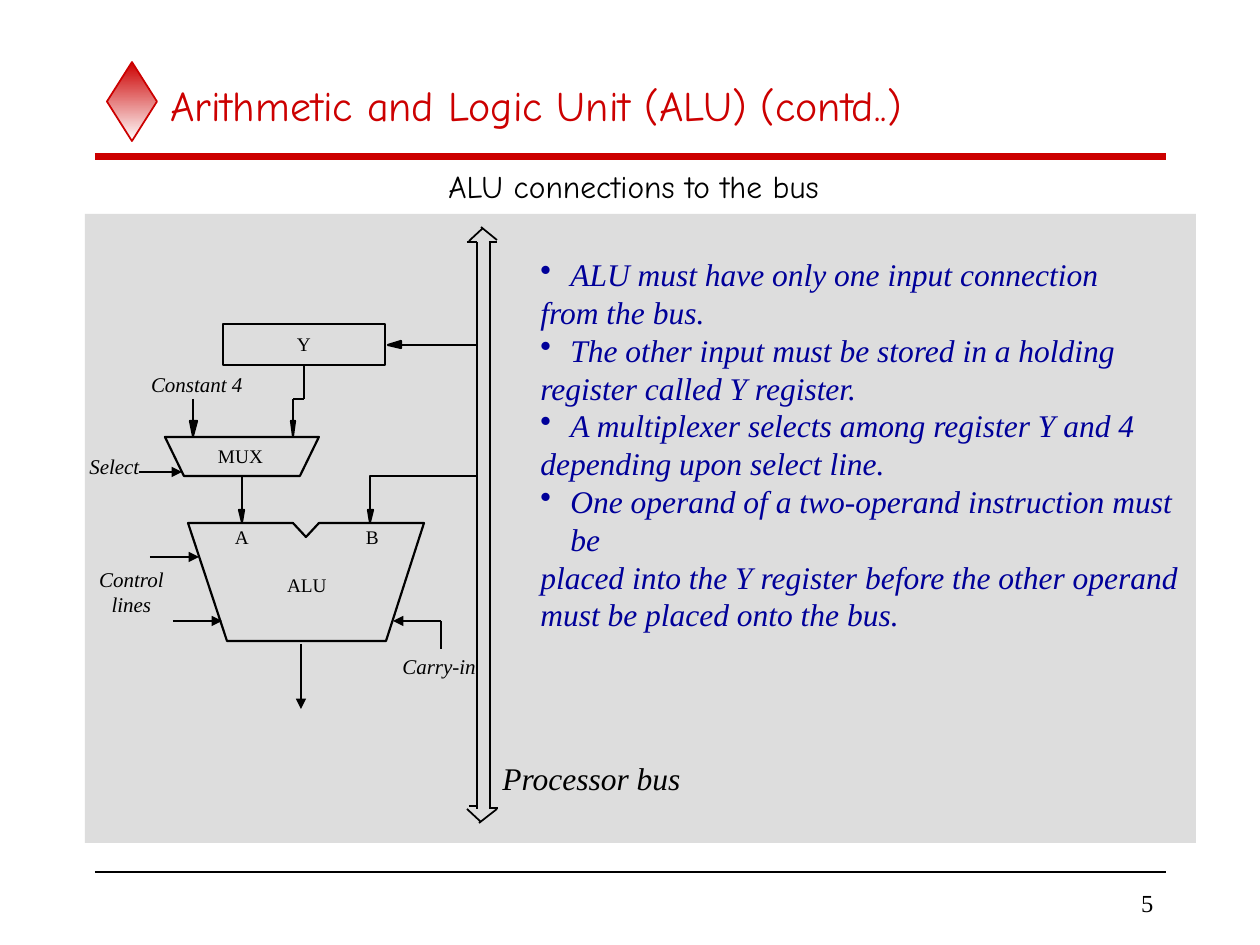
from lxml import etree
from pptx import Presentation
from pptx.dml.color import RGBColor
from pptx.enum.shapes import MSO_CONNECTOR, MSO_SHAPE
from pptx.enum.text import MSO_ANCHOR, MSO_AUTO_SIZE, PP_ALIGN
from pptx.oxml.ns import qn
from pptx.util import Emu, Pt

PX = 914400 / 126  # EMU per px
RED = RGBColor(0xCC, 0x00, 0x00)
BLACK = RGBColor(0, 0, 0)
WHITE = RGBColor(0xFF, 0xFF, 0xFF)
GRAY = RGBColor(0xDD, 0xDD, 0xDD)
NAVY = RGBColor(0x00, 0x00, 0x99)
SERIF, COMIC = "Times New Roman", "Comic Neue"

prs = Presentation()
prs.slide_width, prs.slide_height = Emu(9144000), Emu(6858000)
s = prs.slides.add_slide(prs.slide_layouts[6])


def add_line(x1, y1, x2, y2, width=1, color=BLACK, arrow=False):
    ends = [Emu(round(v * PX)) for v in (x1, y1, x2, y2)]
    c = s.shapes.add_connector(MSO_CONNECTOR.STRAIGHT, *ends)
    c.line.color.rgb = color
    c.line.width = Pt(width)
    if arrow:
        etree.SubElement(c.get_or_add_ln(), qn("a:tailEnd"), type="triangle")
    etree.SubElement(c._element.spPr, qn("a:effectLst"))
    return c


def add_text(x, y, w, h, lines, size, font=SERIF, color=BLACK, italic=False,
             inset=True, align=PP_ALIGN.LEFT, anchor=MSO_ANCHOR.TOP, wrap=False):
    box = [Emu(round(v * PX)) for v in (x, y, w, h)]
    tf = s.shapes.add_textbox(*box).text_frame
    tf.word_wrap = wrap
    tf.vertical_anchor = anchor
    if not wrap and anchor == MSO_ANCHOR.TOP:
        tf.auto_size = MSO_AUTO_SIZE.SHAPE_TO_FIT_TEXT
    if not inset:
        tf.margin_left = tf.margin_right = tf.margin_top = tf.margin_bottom = 0
    for i, line in enumerate(lines):
        p = tf.paragraphs[0] if i == 0 else tf.add_paragraph()
        p.text = line
        p.alignment = align
        p.font.size, p.font.name = Pt(size), font
        p.font.color.rgb, p.font.italic = color, italic
    return tf


# Title, rules and page number
diamond = s.shapes.add_shape(MSO_SHAPE.DIAMOND, *[Emu(round(v * PX)) for v in (107, 62, 50, 79)])
diamond.shadow.inherit = False
diamond.fill.gradient()
diamond.fill.gradient_angle = 270
for stop, color in zip(diamond.fill.gradient_stops, (RED, WHITE)):
    stop.color.rgb = color
diamond.line.color.rgb = RED
diamond.line.width = Pt(1)
add_line(95, 157, 1166, 157, 4, RED)
add_line(95, 872, 1166, 872)
add_text(987, 882, 179, 42, ["5"], 14, align=PP_ALIGN.RIGHT, anchor=MSO_ANCHOR.MIDDLE)

panel = s.shapes.add_shape(MSO_SHAPE.RECTANGLE, *[Emu(round(v * PX)) for v in (85, 214, 1111, 629)])
panel.shadow.inherit = False
panel.fill.solid()
panel.fill.fore_color.rgb = GRAY
panel.line.fill.background()
add_text(158, 63, 1008, 84, ["Arithmetic and Logic Unit (ALU) (contd..)"], 24, COMIC, RED,
         anchor=MSO_ANCHOR.MIDDLE, wrap=True)
add_text(436, 161, 397, 50, ["ALU connections to the bus"], 18, COMIC)

# Y register
y_reg = s.shapes.add_shape(MSO_SHAPE.RECTANGLE, *[Emu(round(v * PX)) for v in (223, 324, 162, 41)])
y_reg.shadow.inherit = False
y_reg.fill.background()
y_reg.line.color.rgb = BLACK
y_reg.line.width = Pt(1.25)

# Outlines and solid arrowheads
outlines = [
    [(370, 510), (370, 476), (476, 476)],  # bus to B
    [(306, 537), (293, 523), (188, 523), (227, 641), (386, 641), (424, 523), (319, 523), (306, 537)],
    [(184, 476), (300, 476), (319, 437), (165, 437), (184, 476)],  # MUX
]
heads = [
    [(401, 341), (388, 345), (401, 348)],  # into Y
    [(291, 421), (293, 436), (295, 421)],  # Y into MUX
    [(190, 421), (193, 436), (197, 421)],  # constant into MUX
    [(368, 510), (370, 522), (373, 510)],  # into B
    [(239, 510), (242, 522), (244, 510)],  # into A
]
for points in outlines + heads:
    solid = points in heads
    fb = s.shapes.build_freeform(*points[0], scale=PX)
    fb.add_line_segments(points[1:], close=solid)
    shape = fb.convert_to_shape()
    shape.shadow.inherit = False
    if solid:
        shape.fill.solid()
        shape.fill.fore_color.rgb = BLACK
    else:
        shape.fill.background()
    shape.line.color.rgb = BLACK
    shape.line.width = Pt(1.25)

# Data paths
add_line(304, 365, 304, 399, 1.25).begin_connect(y_reg, 2)
for ends in [(478, 345, 401, 345), (242, 476, 242, 510), (304, 399, 293, 399),
             (293, 399, 293, 421), (193, 399, 193, 421)]:
    add_line(*ends, 1.25)

# Processor bus
for ends in [(477, 242, 477, 809), (490, 241, 490, 808),
             (467, 242, 477, 242), (489, 242, 497, 242), (469, 241, 483, 228), (497, 240, 481, 227),
             (469, 806, 477, 806), (489, 808, 498, 808), (467, 809, 481, 822), (497, 809, 479, 823)]:
    add_line(*ends)

# Control signals and result
for ends in [(139, 472, 182, 472), (150, 557, 199, 557), (173, 621, 222, 621),
             (441, 621, 393, 621), (301, 644, 301, 709)]:
    add_line(*ends, arrow=True)
add_line(441, 621, 441, 649)

# Labels
for x, y, w, name in [(297, 332, 14, "Y"), (287, 573, 42, "ALU"), (235, 525, 15, "A"),
                      (366, 525, 14, "B"), (218, 444, 48, "MUX")]:
    add_text(x, y, w, 23, [name], 11, inset=False)
add_text(151, 372, 94, 25, ["Constant 4"], 12, italic=True, inset=False)
add_text(77, 447, 77, 38, ["Select"], 12, italic=True)
add_text(86, 560, 91, 63, ["Control", "lines"], 12, italic=True, align=PP_ALIGN.CENTER)
add_text(390, 647, 102, 38, ["Carry-in"], 12, italic=True)
add_text(490, 753, 204, 50, ["Processor bus"], 18, italic=True)

# Notes beside the bus
notes = [
    "ALU must have only one input connection", "from the bus.",
    "The other input must be stored in a holding", "register called Y register.",
    "A multiplexer selects among register Y and 4", "depending upon select line.",
    "One operand of a two-operand instruction must be",
    "placed into the Y register before the other operand", "must be placed onto the bus.",
]
tf = add_text(528, 249, 683, 353, notes, 18, color=NAVY, italic=True, wrap=True)
for i, p in enumerate(tf.paragraphs):
    if i in (0, 2, 4, 6):
        pPr = p._p.get_or_add_pPr()
        indent = round(30 * PX)
        pPr.set("marL", str(indent))
        pPr.set("indent", str(-indent))
        pPr.insert(0, etree.Element(qn("a:buChar"), char="•"))

prs.save("out.pptx")
